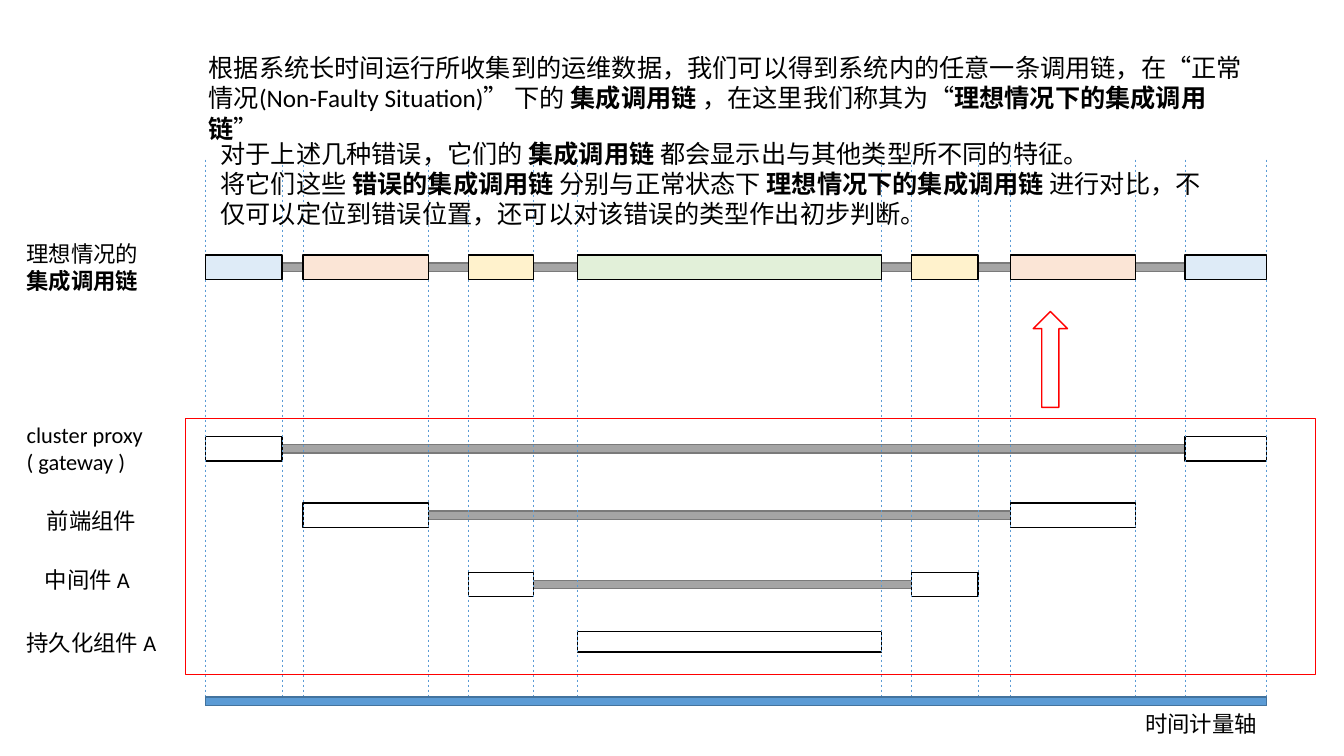
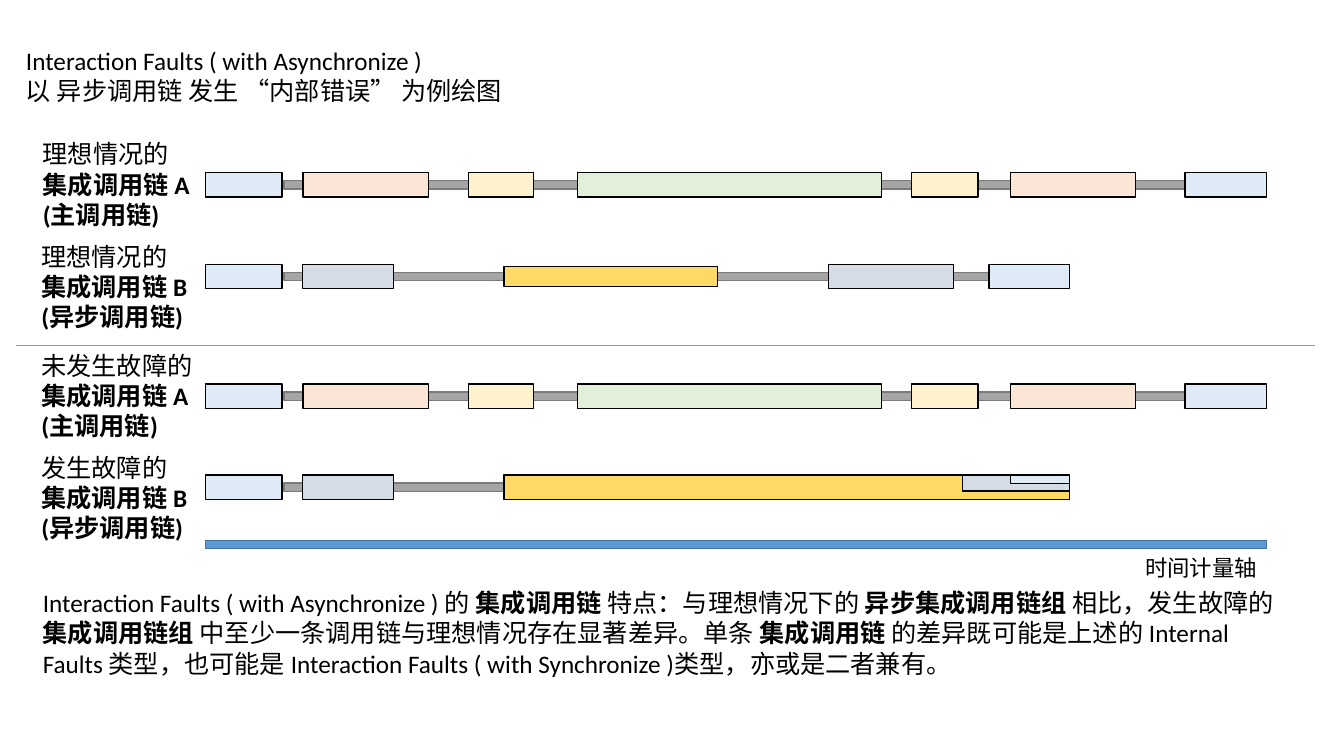
from dataclasses import dataclass

from lxml import etree
from pptx import Presentation
from pptx.dml.color import RGBColor
from pptx.enum.dml import MSO_LINE
from pptx.enum.lang import MSO_LANGUAGE_ID
from pptx.enum.shapes import MSO_CONNECTOR, MSO_SHAPE
from pptx.oxml.ns import qn
from pptx.util import Pt

RECTANGLE = MSO_SHAPE.RECTANGLE
UP_ARROW = MSO_SHAPE.UP_ARROW
STRAIGHT = MSO_CONNECTOR.STRAIGHT
DASH = MSO_LINE.DASH
CHINESE = MSO_LANGUAGE_ID.SIMPLIFIED_CHINESE


@dataclass(frozen=True)
class Theme:
    font: str = "Calibri"
    label_size: float = 16
    body_size: float = 18
    outline: float = 1
    hairline: float = 0.5
    black: str = "000000"
    white: str = "FFFFFF"
    gateway: str = "DEEBF7"
    frontend: str = "FBE5D6"
    middleware: str = "FFF2CC"
    storage: str = "E2F0D9"
    async_frontend: str = "D6DCE5"
    async_storage: str = "FFD966"
    link: str = "A5A5A5"
    link_edge: str = "7A7A7A"
    axis: str = "5B9BD5"
    axis_edge: str = "43739E"
    red: str = "FF0000"
    divider: str = "ED7D31"


THEME = Theme()
CALL_HEIGHT = 17.5
THIN_CALL_HEIGHT = 14.5
BAR_HEIGHT = 6

# Start and end of each call along the time axis
EDGES = (147, 201.5, 216.5, 306, 334.5, 381, 412.5,
         629.5, 651, 698.5, 722, 811, 846.5, 904.5)
SPANS = tuple(zip(EDGES[::2], EDGES[1::2]))
STAGES = (THEME.gateway, THEME.frontend, THEME.middleware, THEME.storage)
MAIN_CALLS = tuple(zip(SPANS, STAGES + STAGES[-2::-1]))

LINK_START = 203
MAIN_LINK_END = 848
ASYNC_LINK_END = 706.5
ASYNC_END = 764
ASYNC_OPENING = ((SPANS[0], THEME.gateway), ((216, 281), THEME.async_frontend))


def add_box(page, left, top, width, height, fill=None, line=THEME.black, kind=RECTANGLE):
    shape = page.shapes.add_shape(kind, Pt(left), Pt(top), Pt(width), Pt(height))
    shape.shadow.inherit = False
    if fill:
        shape.fill.solid()
        shape.fill.fore_color.rgb = RGBColor.from_string(fill)
    else:
        shape.fill.background()
    shape.line.color.rgb = RGBColor.from_string(line)
    shape.line.width = Pt(THEME.outline)


def add_line(page, start, end, color, dash=None):
    line = page.shapes.add_connector(STRAIGHT, *(Pt(value) for value in start + end))
    line.line.color.rgb = RGBColor.from_string(color)
    line.line.width = Pt(THEME.hairline)
    if dash:
        line.line.dash_style = dash
    etree.SubElement(line._element.spPr, qn("a:effectLst"))


def add_text(page, left, top, width, height, paragraphs, size=THEME.body_size, wrap=True):
    """Write paragraphs in which **pairs of asterisks** enclose bold text."""
    box = page.shapes.add_textbox(Pt(left), Pt(top), Pt(width), Pt(height))
    frame = box.text_frame
    frame.word_wrap = wrap
    for index, text in enumerate(paragraphs):
        para = frame.add_paragraph() if index else frame.paragraphs[0]
        for part, words in enumerate(text.split("**")):
            if not words:
                continue
            span = para.add_run()
            span.text = words
            span.font.name = THEME.font
            span.font.size = Pt(size)
            span.font.bold = part % 2 == 1
            span.font.color.rgb = RGBColor.from_string(THEME.black)
            span.font.language_id = CHINESE


def add_label(page, left, top, *lines, size=THEME.label_size):
    add_text(page, left, top, 124, 1.2 * size * len(lines) + 7, lines, size, wrap=False)


def add_call(page, span, middle, fill, height=CALL_HEIGHT):
    start, end = span
    add_box(page, start, middle - height / 2, end - start, height, fill)


def add_link(page, start, end, middle):
    add_box(page, start, middle - BAR_HEIGHT / 2, end - start, BAR_HEIGHT,
            THEME.link, THEME.link_edge)


def add_chain(page, middle, calls, link_end=MAIN_LINK_END):
    add_link(page, LINK_START, link_end, middle)
    for span, fill in calls:
        add_call(page, span, middle, fill)


def add_time_axis(page, top):
    add_box(page, EDGES[0], top, EDGES[-1] - EDGES[0], BAR_HEIGHT,
            THEME.axis, THEME.axis_edge)
    add_label(page, 811, top + BAR_HEIGHT, "时间计量轴")


def add_component_row(page, depth, middle):
    """Draw the outgoing and returning call of one component, joined by a link."""
    outgoing, returning = SPANS[depth], SPANS[-1 - depth]
    add_link(page, outgoing[1], returning[0], middle)
    for span in (outgoing, returning):
        add_call(page, span, middle, THEME.white)


def build_ideal_chain(page):
    for depth, middle in enumerate((320.5, 368, 417.5)):
        add_component_row(page, depth, middle)
    add_call(page, SPANS[3], 458.5, THEME.white, THIN_CALL_HEIGHT)
    for edge in EDGES:
        add_line(page, (edge, 114), (edge, 504), THEME.axis, DASH)
    add_label(page, 12, 297.5, "cluster proxy", "( gateway )")
    add_label(page, 26.5, 359, "前端组件")
    add_label(page, 25, 400.5, "中间件 A")
    add_label(page, 12, 446, "持久化组件 A")
    add_time_axis(page, 498)

    middle = 191
    for (_, end), (start, _) in zip(SPANS, SPANS[1:]):
        add_link(page, end, start, middle)
    for span, fill in MAIN_CALLS:
        add_call(page, span, middle, fill)
    add_label(page, 12, 168, "理想情况的", "**集成调用链**")

    add_box(page, 132.5, 299, 807, 183, line=THEME.red)
    add_box(page, 738, 222.5, 24.5, 68.5, THEME.white, THEME.red, UP_ARROW)
    add_text(page, 142, 34, 759, 51, (
        "根据系统长时间运行所收集到的运维数据，我们可以得到系统内的任意一条调用链，"
        "在“正常情况(Non-Faulty Situation)” 下的 **集成调用链** ，"
        "在这里我们称其为“**理想情况下的集成调用链**”",
    ))
    add_text(page, 150.5, 95, 731, 73, (
        "对于上述几种错误，它们的 **集成调用链 **都会显示出与其他类型所不同的特征。",
        "将它们这些 **错误的集成调用链** 分别与正常状态下 **理想情况下的集成调用链** "
        "进行对比，不仅可以定位到错误位置，还可以对该错误的类型作出初步判断。",
    ))


def build_async_faults(page):
    add_text(page, 11.5, 29, 441, 51, (
        "Interaction Faults ( with Asynchronize )",
        "以 异步调用链 发生 “内部错误” 为例绘图",
    ))
    add_time_axis(page, 386)

    for middle in (132, 283):
        add_chain(page, middle, MAIN_CALLS)

    ideal_middle = 197.5
    add_chain(page, ideal_middle, ASYNC_OPENING + (
        ((592, 681), THEME.async_frontend),
        ((ASYNC_LINK_END, ASYNC_END), THEME.gateway),
    ), ASYNC_LINK_END)
    add_call(page, (360, 512.5), ideal_middle, THEME.async_storage, THIN_CALL_HEIGHT)

    faulty_middle = 348
    add_chain(page, faulty_middle, ASYNC_OPENING + (
        ((360, ASYNC_END), THEME.async_storage),
    ), ASYNC_LINK_END)
    faulty_top = faulty_middle - CALL_HEIGHT / 2
    for start, height, fill in ((687.5, 11.5, THEME.async_frontend),
                                (722, BAR_HEIGHT, THEME.gateway)):
        add_box(page, start, faulty_top, ASYNC_END - start, height, fill)

    for left, top, state, name, role in (
        (23.5, 95.5, "理想情况的", "A", "主调用链"),
        (22.5, 168.5, "理想情况的", "B", "异步调用链"),
        (22.5, 246.5, "未发生故障的", "A", "主调用链"),
        (22.5, 319.5, "发生故障的", "B", "异步调用链"),
    ):
        add_label(page, left, top, state, f"**集成调用链 {name}**", f"**({role})**",
                  size=THEME.body_size)

    add_text(page, 23.5, 416, 905, 73, (
        "Interaction Faults ( with Asynchronize ) 的 **集成调用链** 特点："
        "与理想情况下的 **异步集成调用链组 **相比，发生故障的 **集成调用链组 **"
        "中至少一条调用链与理想情况存在显著差异。单条 **集成调用链** "
        "的差异既可能是上述的 Internal Faults 类型，也可能是 "
        "Interaction Faults ( with Synchronize )类型，亦或是二者兼有。",
    ))
    add_line(page, (11.5, 246.5), (939.5, 246.5), THEME.divider)


def main():
    deck = Presentation()
    deck.slide_width, deck.slide_height = Pt(960), Pt(540)
    for build in (build_ideal_chain, build_async_faults):
        build(deck.slides.add_slide(deck.slide_layouts[6]))
    deck.save("out.pptx")


if __name__ == "__main__":
    main()
